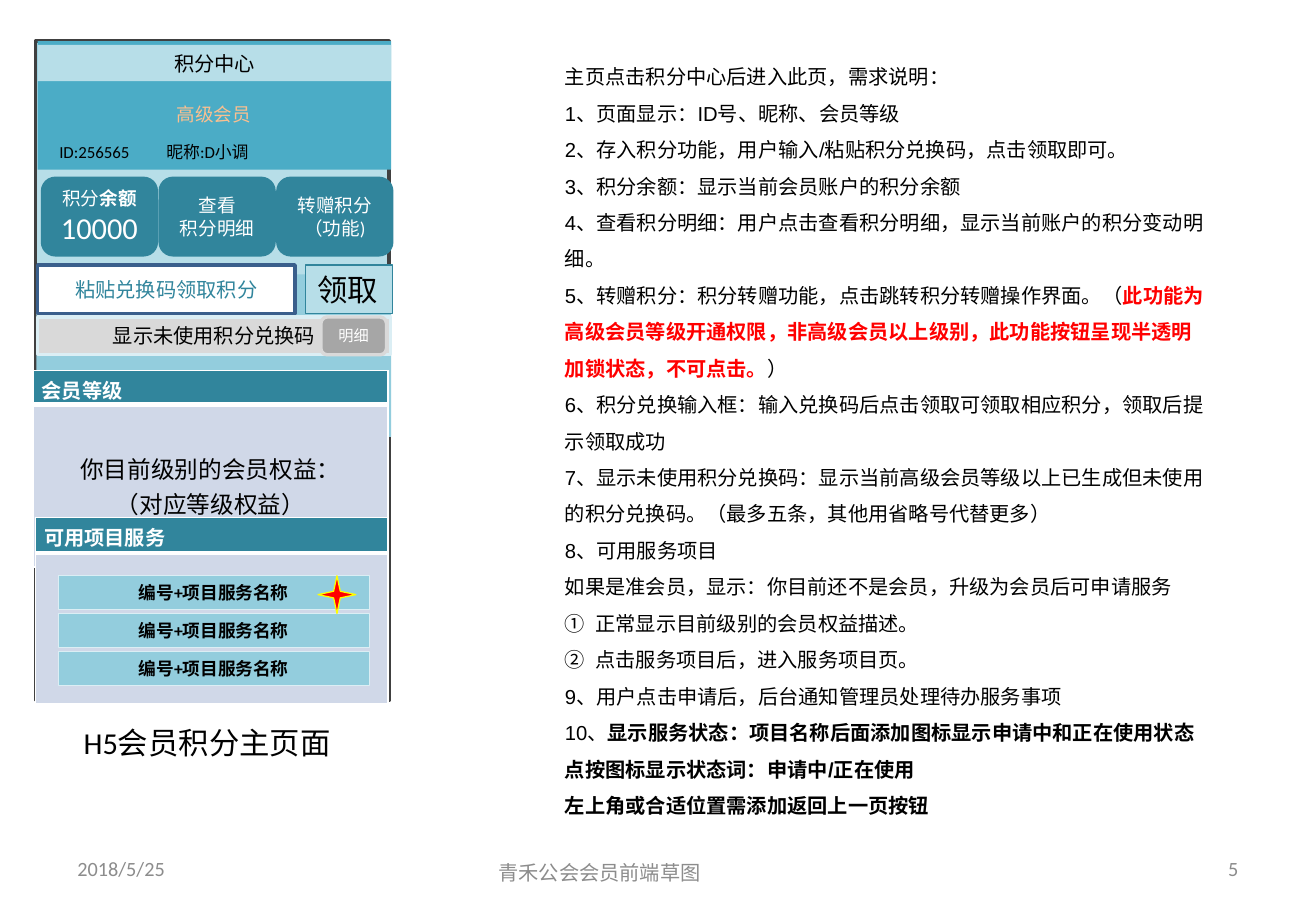
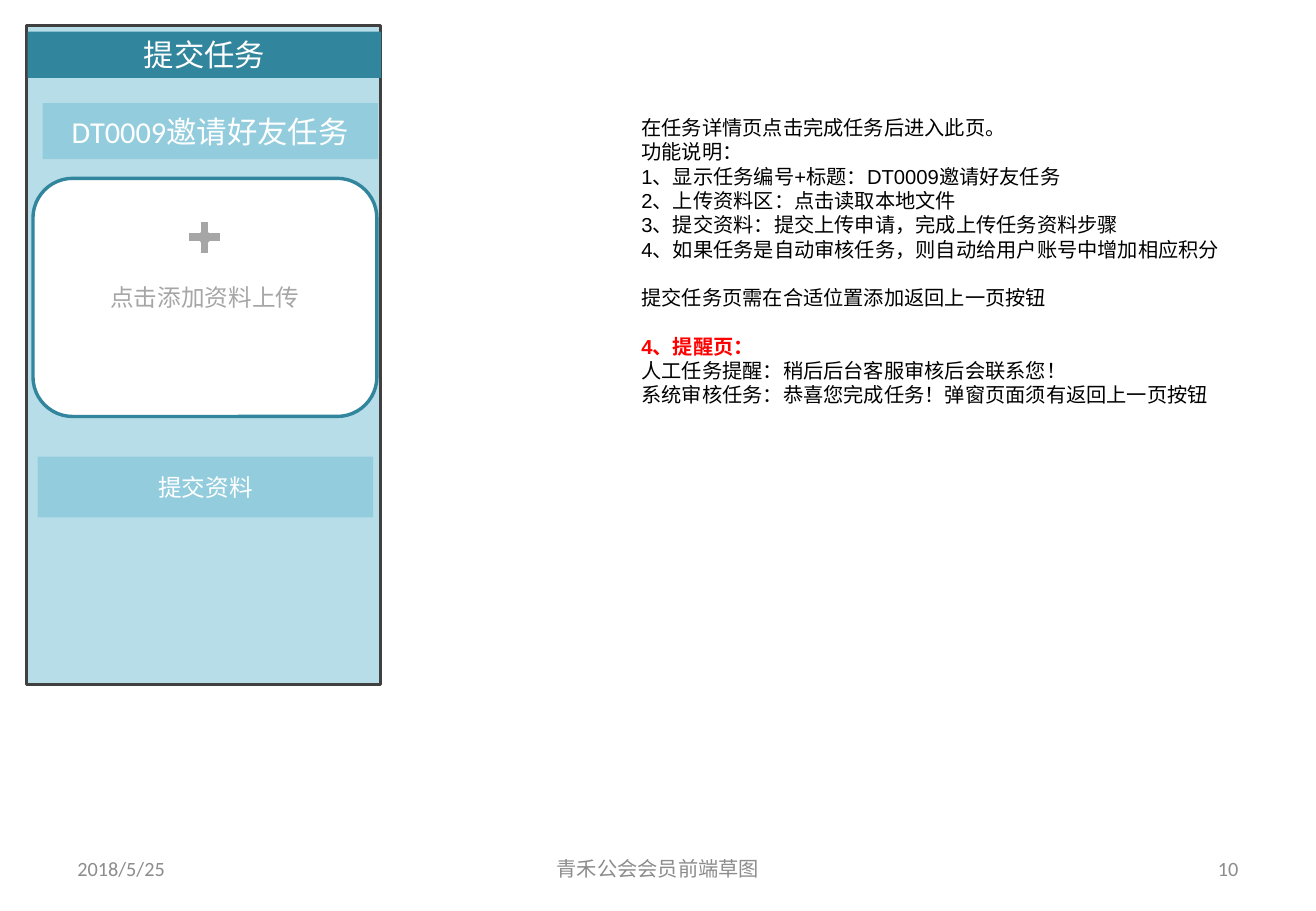
from dataclasses import dataclass
from typing import Optional

from lxml import etree
from pptx import Presentation
from pptx.dml.color import RGBColor
from pptx.enum.shapes import MSO_SHAPE
from pptx.enum.text import MSO_ANCHOR, PP_ALIGN
from pptx.oxml.ns import qn
from pptx.util import Cm, Pt

RECT, ROUND = MSO_SHAPE.RECTANGLE, MSO_SHAPE.ROUNDED_RECTANGLE
STAR, PLUS = MSO_SHAPE.STAR_4_POINT, MSO_SHAPE.MATH_PLUS
TOP, MIDDLE = MSO_ANCHOR.TOP, MSO_ANCHOR.MIDDLE
LEFT, CENTER, RIGHT = PP_ALIGN.LEFT, PP_ALIGN.CENTER, PP_ALIGN.RIGHT

# Palette shared by both slides
BLACK, WHITE, RED, YELLOW = "000000", "FFFFFF", "FF0000", "FFFF00"
TEAL, AQUA, SKY, PALE, ICE = "31859C", "4BACC6", "93CDDD", "B7DEE8", "DBEEF4"
DARK, GRAY, MID_GRAY, LIGHT_GRAY = "404040", "8C8C8C", "A6A6A6", "D9D9D9"
NAVY, PEACH, LAVENDER = "3A5F8C", "FAC090", "D0D8E8"


@dataclass(frozen=True)
class Box:
    """Left, top, width and height in centimetres."""
    x: float
    y: float
    w: float
    h: float

    def emu(self) -> tuple:
        return Cm(self.x), Cm(self.y), Cm(self.w), Cm(self.h)


@dataclass(frozen=True)
class Span:
    text: str
    bold: Optional[bool] = None
    color: Optional[str] = None
    size: Optional[float] = None


@dataclass(frozen=True)
class Para:
    spans: tuple
    numbered: bool = False
    before: float = 0


@dataclass(frozen=True)
class Style:
    size: float = 12
    color: str = BLACK
    bold: bool = False
    font: str = "Calibri"
    align: PP_ALIGN = CENTER
    anchor: MSO_ANCHOR = MIDDLE
    spacing: float = 1.0


def rgb(color: str) -> RGBColor:
    return RGBColor.from_string(color)


def para(*spans, **options) -> Para:
    return Para(tuple(Span(s) if isinstance(s, str) else s for s in spans), **options)


def write(tf, content, style: Style) -> None:
    """Fill a text frame with one string or a list of paragraphs."""
    tf.word_wrap = True
    tf.vertical_anchor = style.anchor
    paras = [para(content)] if isinstance(content, str) else content
    for i, item in enumerate(paras):
        p = tf.paragraphs[0] if i == 0 else tf.add_paragraph()
        p.alignment, p.line_spacing = style.align, style.spacing
        if item.before:
            p.space_before = Pt(item.before)
        if item.numbered:
            pPr = p._p.get_or_add_pPr()
            pPr.set("marL", str(Cm(0.64)))
            pPr.set("indent", str(-Cm(0.64)))
            etree.SubElement(pPr, qn("a:buAutoNum"), type="circleNumDbPlain")
        for span in item.spans:
            r = p.add_run()
            r.text = span.text
            r.font.name = style.font
            r.font.size = Pt(span.size or style.size)
            r.font.bold = style.bold if span.bold is None else span.bold
            r.font.color.rgb = rgb(span.color or style.color)


def add_text(s, box: Box, content, style: Style) -> None:
    write(s.shapes.add_textbox(*box.emu()).text_frame, content, style)


def add_block(s, kind: MSO_SHAPE, box: Box, fill: str, line: Optional[str] = None,
              weight: float = 2, content=None, style: Style = Style()) -> None:
    sp = s.shapes.add_shape(kind, *box.emu())
    sp.shadow.inherit = False
    sp.fill.solid()
    sp.fill.fore_color.rgb = rgb(fill)
    if line:
        sp.line.color.rgb = rgb(line)
        sp.line.width = Pt(weight)
    else:
        sp.line.fill.background()
    if content:
        write(sp.text_frame, content, style)


def add_border(cell, side: str, weight: float) -> None:
    ln = etree.SubElement(cell._tc.get_or_add_tcPr(), qn(f"a:{side}"), w=str(Pt(weight)))
    fill = etree.SubElement(ln, qn("a:solidFill"))
    etree.SubElement(fill, qn("a:srgbClr"), val=WHITE)


def add_panel(s, x: float, y: float, w: float, heights: tuple, heading: str, body=None) -> None:
    """Draw a two-row table: heading row above a body row."""
    table = s.shapes.add_table(2, 1, *Box(x, y, w, sum(heights)).emu()).table
    table.horz_banding = False
    table.columns[0].width = Cm(w)
    rows = (
        (heading, TEAL, Style(12, WHITE, True, "Arial", LEFT), 1, 3),
        (body, LAVENDER, Style(14), 3, 1),
    )
    for i, (content, fill, style, top, bottom) in enumerate(rows):
        table.rows[i].height = Cm(heights[i])
        cell = table.cell(i, 0)
        cell.margin_left = cell.margin_right = Cm(0.18)
        cell.margin_top = cell.margin_bottom = Cm(0.1)
        for side, weight in (("lnL", 1), ("lnR", 1), ("lnT", top), ("lnB", bottom)):
            add_border(cell, side, weight)
        cell.fill.solid()
        cell.fill.fore_color.rgb = rgb(fill)
        cell.vertical_anchor = MIDDLE
        if content:
            write(cell.text_frame, content, style)


def add_phone(s, x: float, y: float) -> None:
    add_block(s, RECT, Box(x, y, 7.39, 13.79), PALE, DARK)


def add_footer(s, number: str, title_x: float, title_y: float) -> None:
    for box, text, align in (
        (Box(1.37, 17.65, 6.43, 1.02), "2018/5/25", LEFT),
        (Box(title_x, title_y, 8.71, 1.02), "青禾公会会员前端草图", CENTER),
        (Box(19.71, 17.65, 6.43, 1.02), number, RIGHT),
    ):
        add_text(s, box, text, Style(color=GRAY, align=align))


def build_points_slide(s) -> None:
    # Phone frame, header and member identity
    add_phone(s, 0.74, 0.86)
    add_text(s, Box(1.5, 15.01, 6.53, 1.02), "H5会员积分主页面",
             Style(18, align=LEFT, anchor=TOP))
    add_block(s, RECT, Box(0.79, 0.86, 7.39, 2.69), AQUA)
    add_block(s, RECT, Box(0.79, 0.94, 7.39, 0.76), PALE, content="积分中心")
    add_text(s, Box(0.97, 2.03, 7.01, 0.74), "高级会员", Style(11, PEACH, anchor=TOP))

    # Requirements
    notes = [
        para("主页点击积分中心后进入此页，需求说明："),
        para("1、页面显示：ID号、昵称、会员等级"),
        para("2、存入积分功能，用户输入/粘贴积分兑换码，点击领取即可。"),
        para("3、积分余额：显示当前会员账户的积分余额"),
        para("4、查看积分明细：用户点击查看积分明细，显示当前账户的积分变动明细。"),
        para("5、转赠积分：积分转赠功能，点击跳转积分转赠操作界面。（",
             Span("此功能为高级会员等级开通权限，非高级会员以上级别，"
                  "此功能按钮呈现半透明加锁状态，不可点击。", True, RED),
             "）"),
        para("6、积分兑换输入框：输入兑换码后点击领取可领取相应积分，领取后提示领取成功"),
        para("7、显示未使用积分兑换码：显示当前高级会员等级以上已生成但未使用的积分兑换码。"
             "（最多五条，其他用省略号代替更多）"),
        para("8、可用服务项目"),
        para("如果是准会员，显示：你目前还不是会员，升级为会员后可申请服务"),
        para("正常显示目前级别的会员权益描述。", numbered=True),
        para("点击服务项目后，进入服务项目页。", numbered=True),
        para("9、用户点击申请后，后台通知管理员处理待办服务事项"),
        para("10、", Span("显示服务状态：项目名称后面添加图标显示申请中和正在使用状态", True)),
        para(Span("点按图标显示状态词：申请中/正在使用", True)),
        para(Span("左上角或合适位置需添加返回上一页按钮", True)),
    ]
    add_text(s, Box(11.56, 0.97, 14, 16.6), notes,
             Style(font="Arial", align=LEFT, anchor=TOP, spacing=1.5))

    # Member level panel
    add_block(s, RECT, Box(0.76, 5.74, 7.42, 3.4), SKY)
    add_panel(s, 0.69, 7.75, 7.42, (0.71, 3.4), "会员等级",
              [para("你目前级别的会员权益："), para("（对应等级权益）")])
    small = Style(10, align=LEFT, anchor=TOP)
    add_text(s, Box(0.99, 2.84, 2.16, 0.69), "ID:256565", small)
    add_text(s, Box(3.23, 2.84, 2.87, 0.69), "昵称:D小调", small)

    # Redeem field and button
    add_block(s, RECT, Box(0.79, 5.54, 5.38, 1.02), WHITE, NAVY,
              content="粘贴兑换码领取积分", style=Style(color=TEAL))
    add_block(s, RECT, Box(6.38, 5.54, 1.83, 1.02), PALE, TEAL, 0.75,
              "领取", Style(18, align=LEFT, anchor=TOP))

    # Points tiles
    tiles = (
        [para("积分", Span("余额", True)), para(Span("10000", size=18))],
        [para("查看"), para("积分明细")],
        [para("转赠积分"), para("（功能)")],
    )
    for i, content in enumerate(tiles):
        add_block(s, ROUND, Box(0.89 + 2.46 * i, 3.73, 2.38, 1.6), TEAL, TEAL,
                  content=content, style=Style(11, WHITE))

    add_footer(s, "5", 8.18, 17.73)

    # Unused codes bar
    add_block(s, RECT, Box(0.79, 6.63, 7.37, 0.79), LIGHT_GRAY, ICE,
              content="显示未使用积分兑换码")
    add_block(s, ROUND, Box(6.71, 6.63, 1.37, 0.79), MID_GRAY, LIGHT_GRAY,
              content="明细", style=Style(9, WHITE))

    # Available services panel
    add_panel(s, 0.74, 10.82, 7.37, (0.74, 3.15), "可用项目服务")
    for i in range(3):
        add_block(s, RECT, Box(1.22, 12.04 + 0.79 * i, 6.5, 0.71), SKY, ICE, 0.75,
                  "编号+项目服务名称", Style(10.5, bold=True))
    add_block(s, STAR, Box(6.65, 12.04, 0.79, 0.79), RED, YELLOW, 0.75)


def build_task_slide(s) -> None:
    add_footer(s, "10", 9.4, 17.65)

    # Phone frame with task, upload area and submit button
    add_phone(s, 0.56, 0.53)
    for box, fill, text, style in (
        (Box(0.89, 2.16, 7.01, 1.17), SKY, "DT0009邀请好友任务", Style(18, WHITE)),
        (Box(0.79, 9.55, 7.01, 1.27), SKY, "提交资料", Style(14, WHITE, font="Arial")),
        (Box(0.58, 0.66, 7.39, 0.97), TEAL, "提交任务", Style(18, WHITE)),
    ):
        add_block(s, RECT, box, fill, content=text, style=style)
    add_block(s, ROUND, Box(0.69, 3.73, 7.19, 4.98), WHITE, TEAL,
              content="点击添加资料上传", style=Style(14, MID_GRAY))
    add_block(s, PLUS, Box(3.78, 4.47, 0.99, 0.99), MID_GRAY, WHITE)

    # Requirements
    notes = [
        para("在任务详情页点击完成任务后进入此页。"),
        para("功能说明："),
        para("1、显示任务编号+标题：DT0009邀请好友任务"),
        para("2、上传资料区：点击读取本地文件"),
        para("3、提交资料：提交上传申请，完成上传任务资料步骤"),
        para("4、如果任务是自动审核任务，则自动给用户账号中增加相应积分"),
        para("提交任务页需在合适位置添加返回上一页按钮", before=14.4),
        para(Span("4、提醒页：", True, RED), before=14.4),
        para("人工任务提醒：稍后后台客服审核后会联系您！"),
        para("系统审核任务：恭喜您完成任务！弹窗页面须有返回上一页按钮"),
    ]
    add_text(s, Box(13.16, 2.29, 12.8, 6.93), notes,
             Style(font="Arial", align=LEFT, anchor=TOP))


def main() -> None:
    prs = Presentation()
    prs.slide_width, prs.slide_height = Cm(27.51), Cm(19.05)
    blank = prs.slide_layouts[6]
    for build in (build_points_slide, build_task_slide):
        build(prs.slides.add_slide(blank))
    prs.save("out.pptx")


if __name__ == "__main__":
    main()
